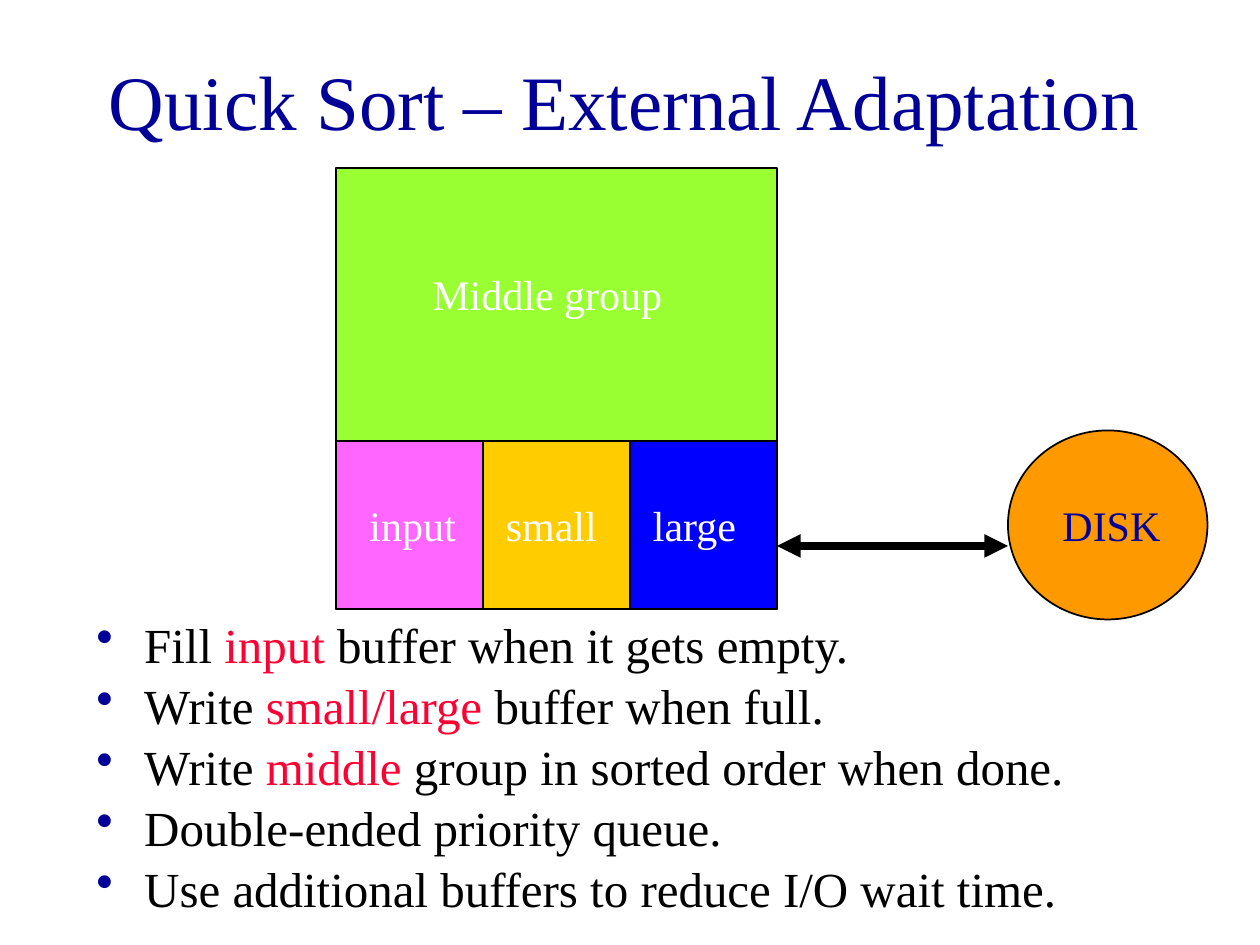
"""Build the external quick sort slide on a grid of twelfths of an inch."""
from dataclasses import dataclass

from lxml import etree
from pptx import Presentation, util as u
from pptx.enum import shapes as s, text as t
from pptx.oxml import ns

HUES = {"navy": "000099", "red": "FF0033", "black": "000000", "white": "FFFFFF",
        "lime": "99FF33", "amber": "FF9900", "pink": "FF66FF", "gold": "FFCC00",
        "blue": "0000FF"}
FACE = "Times New Roman"
BASE = 28


@dataclass(frozen=True)
class Area:
    col: float
    row: float
    wide: float
    high: float

    def box(self) -> tuple:
        return tuple(map(grid, (self.col, self.row, self.wide, self.high)))


@dataclass(frozen=True)
class Block:
    area: Area
    hue: str
    word: str
    label: Area
    ink: str = "white"
    kind: s.MSO_SHAPE = s.MSO_SHAPE.RECTANGLE


def grid(count: float) -> u.Length:
    return u.Inches(count / 12)


def shade(color, hue: str) -> None:
    color.rgb = color_of(hue)


def color_of(hue: str):
    from pptx.dml.color import RGBColor
    return RGBColor.from_string(HUES[hue])


def style(para, size: float, hue: str) -> None:
    para.font.name = FACE
    para.font.size = u.Pt(size)
    shade(para.font.color, hue)


def add_text(slide, area: Area):
    frame = slide.shapes.add_textbox(*area.box()).text_frame
    frame.word_wrap = True
    return frame


def add_label(slide, area: Area, word: str, size: float, hue: str):
    frame = add_text(slide, area)
    para = frame.paragraphs[0]
    para.text = word
    style(para, size, hue)
    return frame


def add_block(slide, block: Block) -> None:
    shape = slide.shapes.add_shape(block.kind, *block.area.box())
    shape.shadow.inherit = False
    shape.fill.solid()
    shade(shape.fill.fore_color, block.hue)
    shade(shape.line.color, "black")
    shape.line.width = u.Pt(1)


def add_arrow(slide, left: float, right: float, row: float) -> None:
    line = slide.shapes.add_connector(s.MSO_CONNECTOR.STRAIGHT, grid(left),
                                      grid(row), grid(right), grid(row))
    shade(line.line.color, "black")
    line.line.width = u.Pt(4.5)
    edge = line.line._get_or_add_ln()
    for end in ("a:headEnd", "a:tailEnd"):
        etree.SubElement(edge, ns.qn(end), type="triangle")
    etree.SubElement(line._element.spPr, ns.qn("a:effectLst"))


def add_point(para, parts: tuple) -> None:
    para.line_spacing = 0.8
    para.space_before = u.Pt(8)
    props = para._p.get_or_add_pPr()
    props.set("marL", str(u.Inches(0.38)))
    props.set("indent", str(-u.Inches(0.38)))
    tint = etree.SubElement(props, ns.qn("a:buClr"))
    etree.SubElement(tint, ns.qn("a:srgbClr"), val=HUES["navy"])
    etree.SubElement(props, ns.qn("a:buChar"), char="•")
    style(para, BASE, "black")
    for index, part in enumerate(parts):
        run = para.add_run()
        run.text = part
        if index % 2:
            shade(run.font.color, "red")


BLOCKS = (
    Block(Area(32, 16, 42, 42), "lime", "Middle group", Area(40, 25, 27, 6)),
    Block(Area(96, 41, 19, 18), "amber", "DISK", Area(100, 47, 16, 6), "navy",
          s.MSO_SHAPE.OVAL),
    *(Block(Area(32 + 14 * index, 42, 14, 16), hue, word, Area(col, 47, 12, 6))
      for index, (hue, word, col) in enumerate(
          (("pink", "input", 34), ("gold", "small", 47), ("blue", "large", 61)))),
)
POINTS = (
    ("Fill ", "input", " buffer when it gets empty."),
    ("Write ", "small/large", " buffer when full."),
    ("Write", " middle", " group in sorted order when done."),
    ("Double-ended priority queue.",),
    ("Use additional buffers to reduce I/O wait time.",),
)


def main() -> None:
    deck = Presentation()
    deck.slide_width, deck.slide_height = grid(120), grid(90)
    slide = deck.slides.add_slide(deck.slide_layouts[6])

    title = add_label(slide, Area(6, 2, 107, 15),
                      "Quick Sort – External Adaptation", 44, "navy")
    title.vertical_anchor = t.MSO_ANCHOR.MIDDLE
    title.paragraphs[0].alignment = t.PP_ALIGN.CENTER

    body = add_text(slide, Area(8, 59, 102, 31))
    for index, parts in enumerate(POINTS):
        add_point(body.add_paragraph() if index else body.paragraphs[0], parts)

    for block in BLOCKS:
        add_block(slide, block)
    add_arrow(slide, 74, 96, 52)
    for block in BLOCKS:
        add_label(slide, block.label, block.word, 24, block.ink)
    deck.save("out.pptx")


if __name__ == "__main__":
    main()
